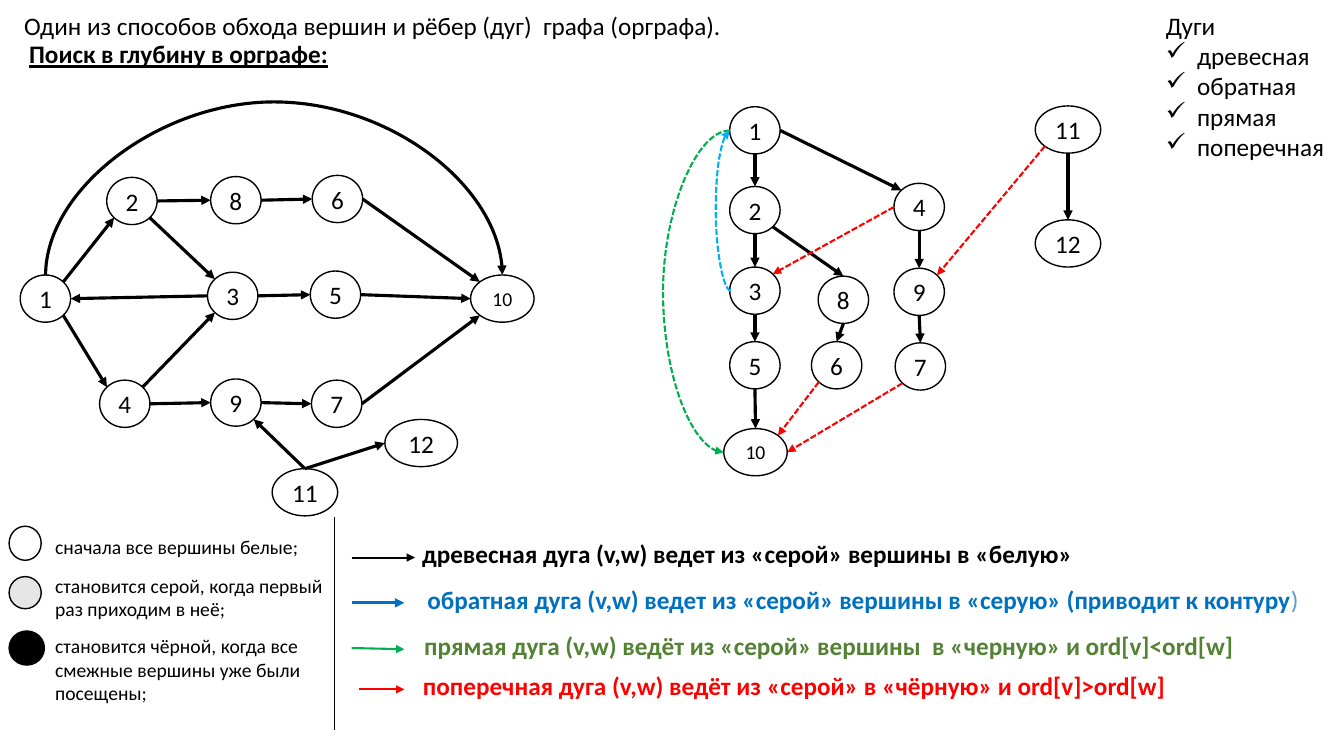
"""Build the slide about depth-first search in a directed graph."""
from dataclasses import dataclass
from math import cos, radians, sin

from lxml import etree
from pptx import Presentation
from pptx.dml.color import RGBColor
from pptx.enum.dml import MSO_LINE
from pptx.enum.shapes import MSO_CONNECTOR, MSO_SHAPE
from pptx.enum.text import MSO_ANCHOR, MSO_AUTO_SIZE, PP_ALIGN
from pptx.oxml.ns import qn
from pptx.shapes.autoshape import Shape
from pptx.shapes.connector import Connector
from pptx.slide import Slide
from pptx.util import Cm, Pt

STRAIGHT, CURVE = MSO_CONNECTOR.STRAIGHT, MSO_CONNECTOR.CURVE
OVAL = MSO_SHAPE.OVAL
DASH = MSO_LINE.SQUARE_DOT
LEFT, CENTER = PP_ALIGN.LEFT, PP_ALIGN.CENTER
TOP, MIDDLE = MSO_ANCHOR.TOP, MSO_ANCHOR.MIDDLE
NO_AUTOSIZE = MSO_AUTO_SIZE.NONE
TITLE_ONLY = 5
NODE_HEIGHT = 1.19
LINE_HEIGHT = 1.02
SITE_ANGLES = {"R": 0, "BR": 45, "B": 90, "BL": 135, "L": 180, "TL": 225, "T": 270, "TR": 315}


@dataclass(frozen=True)
class Theme:
    """Colours and type sizes of the slide."""
    font: str = "Calibri"
    body: float = 18
    small: float = 14
    thick: float = 2.25
    medium: float = 1.5
    outline: float = 1
    hairline: float = 0.5
    black: str = "000000"
    white: str = "FFFFFF"
    gray: str = "E7E6E6"
    red: str = "FF0000"
    green: str = "00B050"
    olive: str = "548235"
    blue: str = "0070C0"
    sky: str = "00B0F0"
    pale_blue: str = "5B9BD5"


THEME = Theme()


@dataclass(frozen=True)
class Node:
    """A graph vertex, placed in centimetres."""
    label: str
    left: float
    top: float
    width: float = 1.27
    size: float = THEME.body

    def site(self, name: str) -> tuple[float, float]:
        """Return the point of the outline in the named direction."""
        angle = radians(SITE_ANGLES[name])
        return (self.left + self.width / 2 * (1 + cos(angle)),
                self.top + NODE_HEIGHT / 2 * (1 + sin(angle)))


@dataclass(frozen=True)
class Line:
    """A line in centimetres."""
    begin: tuple[float, float]
    end: tuple[float, float]
    color: str = THEME.black
    width: float = THEME.thick
    dashed: bool = False
    arrow: bool = True


@dataclass(frozen=True)
class Arc:
    """A curved arrow with the depth of its bulge in centimetres."""
    line: Line
    bulge: float
    rotation: int = 0


@dataclass(frozen=True)
class Label:
    """A text box in centimetres."""
    text: str
    left: float
    top: float
    width: float
    height: float = LINE_HEIGHT
    size: float = THEME.body
    color: str = THEME.black
    bold: bool = False
    wrap: bool = False


@dataclass(frozen=True)
class Swatch:
    """A vertex colour sample in centimetres."""
    top: float
    width: float
    height: float
    color: str


@dataclass(frozen=True)
class Graph:
    """Vertices with tree edges and cross edges, written as "1:R 4:TL"."""
    nodes: tuple[Node, ...]
    edges: tuple[str, ...]
    cross_edges: tuple[str, ...] = ()


SOURCE_GRAPH = Graph(
    (Node("1", 0.51, 6.93), Node("2", 2.69, 4.47), Node("3", 5.23, 6.86),
     Node("4", 2.51, 9.58), Node("5", 7.82, 6.83), Node("6", 7.87, 4.42),
     Node("7", 7.85, 9.58), Node("8", 5.31, 4.45), Node("9", 5.31, 9.55),
     Node("10", 11.86, 6.93, 1.6, THEME.small), Node("11", 6.86, 11.81, 1.65),
     Node("12", 9.7, 10.57, 1.83)),
    ("1:TR 2:BL", "1:BR 4:TL", "2:R 8:L", "2:BR 3:TL", "3:L 1:R", "3:R 5:L",
     "4:TR 3:BL", "4:R 9:L", "5:R 10:L", "6:R 10:TL", "7:R 10:BL", "8:R 6:L",
     "9:R 7:L", "11:T 9:BR", "11:T 12:L"))
SEARCH_FOREST = Graph(
    (Node("1", 18.39, 2.69), Node("2", 18.39, 4.7), Node("3", 18.39, 6.73),
     Node("5", 18.39, 8.61), Node("10", 18.24, 10.8, 1.6, THEME.small),
     Node("8", 20.62, 6.96), Node("6", 20.45, 8.61), Node("4", 22.53, 4.62),
     Node("9", 22.53, 6.76), Node("7", 22.56, 8.64),
     Node("11", 26.09, 2.67, 1.65), Node("12", 26.09, 5.54, 1.65)),
    ("1:B 2:T", "2:B 3:T", "3:B 5:T", "5:B 10:T", "2:BR 8:T", "8:B 6:T",
     "1:R 4:TL", "4:B 9:T", "9:B 7:T", "11:B 12:T"),
    ("6:BL 10:TR", "4:L 3:TR", "7:BL 10:R", "11:BL 9:TR"))
ARCS = (
    Arc(Line((6.91, 12.69), (6.9, 1.18)), 4.37, 90),
    Arc(Line((18.39, 3.29), (18.24, 11.4), THEME.green, THEME.medium, True), 1.68),
    Arc(Line((18.42, 7.33), (18.39, 3.29), THEME.sky, THEME.medium, True), 0.38),
)
LEGEND_LINES = (
    Line((8.86, 14.05), (10.46, 14.05), width=THEME.medium),
    Line((8.86, 15.19), (10.19, 15.19), THEME.blue),
    Line((8.86, 16.33), (10.19, 16.36), THEME.green, THEME.medium),
    Line((9.04, 17.37), (10.19, 17.37), THEME.red, THEME.medium),
    Line((8.43, 13.03), (8.43, 18.39), width=THEME.hairline, arrow=False),
)
BACK_ARC = Label("обратная дуга (v,w) ведет из «серой» вершины в «серую» (приводит к контуру",
                 10.52, 14.61, 22.78, color=THEME.blue, bold=True)
LABELS = (
    Label("Один из способов обхода вершин и рёбер (дуг)  графа (орграфа).", 0.36, 0.13, 18.14),
    Label("древесная дуга (v,w) ведет из «серой» вершины в «белую»",
          10.39, 13.44, 17.07, bold=True),
    Label("прямая дуга (v,w) ведёт из «серой» вершины  в «черную» и ord[v]<ord[w]",
          10.44, 15.75, 21.13, color=THEME.olive, bold=True),
    Label("поперечная дуга (v,w) ведёт из «серой» в «чёрную» и ord[v]>ord[w]",
          10.41, 16.76, 19.41, color=THEME.red, bold=True),
    Label("сначала все вершины белые;", 1.14, 13.36, 6.71, 0.86, THEME.small),
    Label("становится серой, когда первый раз приходим в неё;",
          1.14, 14.33, 7.87, 1.45, THEME.small, wrap=True),
    Label("становится чёрной, когда все смежные вершины уже были посещены;",
          1.14, 15.85, 8.38, 2.06, THEME.small, wrap=True),
)
TITLE = Label("Поиск в глубину в орграфе:", 0.48, 0.84, 8.13, bold=True)
ARC_KINDS = Label("Дуги\nдревесная\nобратная\nпрямая\nпоперечная", 29.13, 0.13, 4.55, 4.11)
SWATCHES = (Swatch(13.26, 0.81, 0.86, THEME.white), Swatch(14.53, 0.81, 0.81, THEME.gray),
            Swatch(15.9, 0.89, 0.86, THEME.black))


def format_text(shape: Shape, label: Label, align: PP_ALIGN = LEFT) -> None:
    """Write the label into the shape and format its runs."""
    frame = shape.text_frame
    frame.text = label.text
    frame.word_wrap = label.wrap
    frame.auto_size = NO_AUTOSIZE
    for paragraph in frame.paragraphs:
        paragraph.alignment = align
        for run in paragraph.runs:
            run.font.name = THEME.font
            run.font.size = Pt(label.size)
            run.font.bold = label.bold
            run.font.color.rgb = RGBColor.from_string(label.color)


def add_label(slide: Slide, label: Label) -> Shape:
    """Add a text box."""
    shape = slide.shapes.add_textbox(Cm(label.left), Cm(label.top),
                                     Cm(label.width), Cm(label.height))
    format_text(shape, label)
    return shape


def add_oval(slide: Slide, left: float, top: float, width: float, height: float,
             color: str) -> Shape:
    """Add an outlined ellipse."""
    shape = slide.shapes.add_shape(OVAL, Cm(left), Cm(top), Cm(width), Cm(height))
    shape.shadow.inherit = False
    shape.fill.solid()
    shape.fill.fore_color.rgb = RGBColor.from_string(color)
    shape.line.color.rgb = RGBColor.from_string(THEME.black)
    shape.line.width = Pt(THEME.outline)
    return shape


def add_line(slide: Slide, line: Line, kind: MSO_CONNECTOR = STRAIGHT) -> Connector:
    """Add a connector with its colour, dash and arrowhead."""
    connector = slide.shapes.add_connector(kind, *(Cm(value) for value in line.begin + line.end))
    connector.line.color.rgb = RGBColor.from_string(line.color)
    connector.line.width = Pt(line.width)
    if line.dashed:
        connector.line.dash_style = DASH
    if line.arrow:
        etree.SubElement(connector.line._get_or_add_ln(), qn("a:tailEnd"), type="triangle")
    etree.SubElement(connector._element.spPr, qn("a:effectLst"))
    return connector


def add_arc(slide: Slide, arc: Arc) -> None:
    """Add a curved connector bulging beyond its end."""
    properties = add_line(slide, arc.line, CURVE)._element.spPr
    ratio = arc.bulge / (arc.line.begin[0] - arc.line.end[0])
    guides = properties.find(qn("a:prstGeom")).find(qn("a:avLst"))
    etree.SubElement(guides, qn("a:gd"), name="adj1", fmla=f"val {round(ratio * 100000)}")
    if arc.rotation:
        properties.find(qn("a:xfrm")).set("rot", str(arc.rotation * 60000))


def add_graph(slide: Slide, graph: Graph) -> None:
    """Draw the vertices and edges of a graph."""
    nodes = {node.label: node for node in graph.nodes}
    for node in graph.nodes:
        shape = add_oval(slide, node.left, node.top, node.width, NODE_HEIGHT, THEME.white)
        format_text(shape, Label(node.label, 0, 0, 0, size=node.size), CENTER)
        shape.text_frame.vertical_anchor = MIDDLE
    styles = ((graph.edges, THEME.black, THEME.thick, False),
              (graph.cross_edges, THEME.red, THEME.medium, True))
    for edges, color, width, dashed in styles:
        for edge in edges:
            begin, end = (nodes[name].site(site) for name, site in
                          (part.split(":") for part in edge.split()))
            add_line(slide, Line(begin, end, color, width, dashed))


def add_title(slide: Slide) -> None:
    """Place and format the title placeholder."""
    title = slide.shapes.title
    title.left, title.top = Cm(TITLE.left), Cm(TITLE.top)
    title.width, title.height = Cm(TITLE.width), Cm(TITLE.height)
    format_text(title, TITLE)
    title.text_frame.vertical_anchor = TOP
    title.text_frame.paragraphs[0].runs[0].font.underline = True


def add_arc_kinds(slide: Slide) -> None:
    """Add the ticked list of arc kinds."""
    shape = add_label(slide, ARC_KINDS)
    for paragraph in shape.text_frame.paragraphs[1:]:
        properties = paragraph._p.get_or_add_pPr()
        properties.set("marL", str(Cm(0.79)))
        properties.set("indent", str(Cm(-0.79)))
        etree.SubElement(properties, qn("a:buChar"), char="✓")


def add_back_arc(slide: Slide) -> None:
    """Add the back arc caption with its pale closing bracket."""
    paragraph = add_label(slide, BACK_ARC).text_frame.paragraphs[0]
    bracket = paragraph.add_run()
    bracket.text = ")"
    bracket.font.name = THEME.font
    bracket.font.size = Pt(THEME.body)
    bracket.font.color.rgb = RGBColor.from_string(THEME.pale_blue)


def main() -> None:
    """Build and save the presentation."""
    presentation = Presentation()
    presentation.slide_width, presentation.slide_height = Cm(33.87), Cm(19.05)
    slide = presentation.slides.add_slide(presentation.slide_layouts[TITLE_ONLY])
    add_title(slide)
    for graph in (SOURCE_GRAPH, SEARCH_FOREST):
        add_graph(slide, graph)
    for arc in ARCS:
        add_arc(slide, arc)
    for line in LEGEND_LINES:
        add_line(slide, line)
    for swatch in SWATCHES:
        add_oval(slide, 0.23, swatch.top, swatch.width, swatch.height, swatch.color)
    for label in LABELS:
        add_label(slide, label)
    add_back_arc(slide)
    add_arc_kinds(slide)
    presentation.save("out.pptx")


if __name__ == "__main__":
    main()
